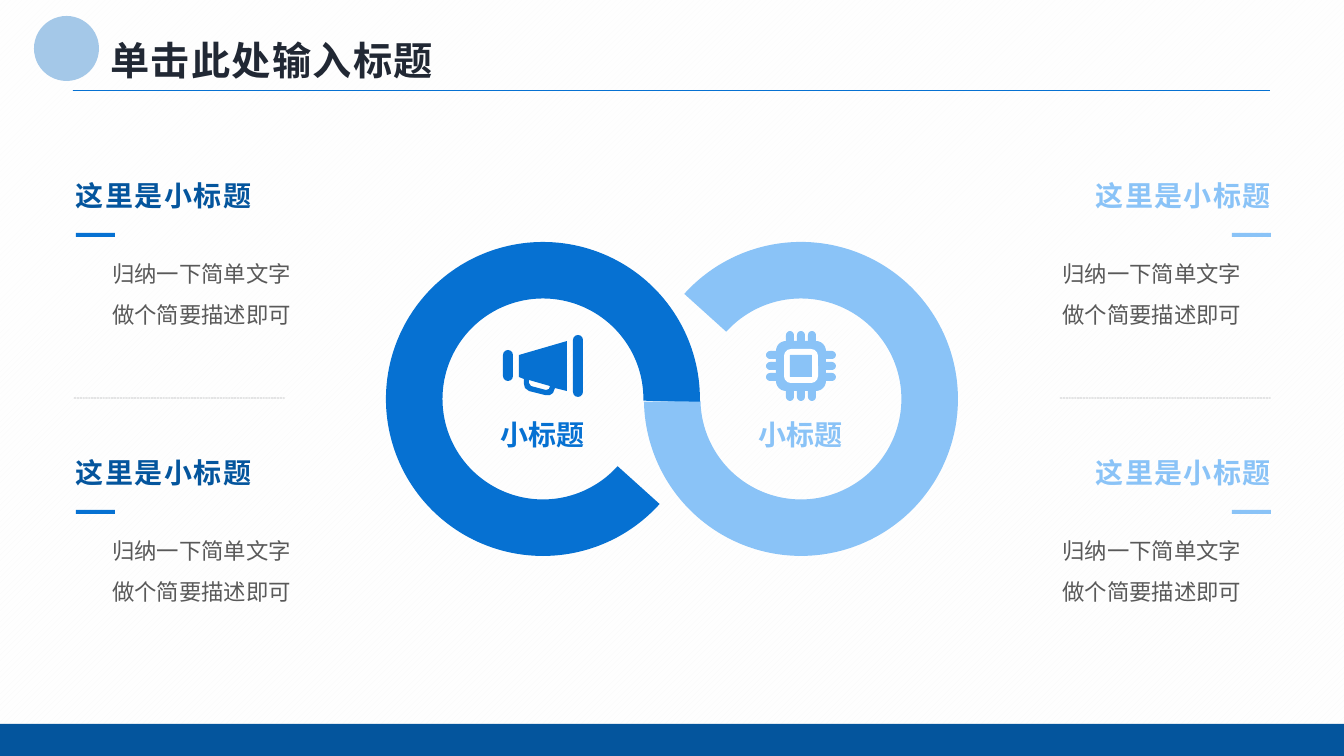
from lxml import etree
from pptx import Presentation
from pptx.dml.color import RGBColor
from pptx.enum.dml import MSO_LINE, MSO_PATTERN
from pptx.enum.shapes import MSO_CONNECTOR, MSO_SHAPE
from pptx.enum.text import MSO_ANCHOR, MSO_AUTO_SIZE, PP_ALIGN
from pptx.oxml.ns import qn
from pptx.util import Pt

RECT, OVAL = MSO_SHAPE.RECTANGLE, MSO_SHAPE.OVAL
SOFT, RING = MSO_SHAPE.ROUNDED_RECTANGLE, MSO_SHAPE.BLOCK_ARC
STRAIGHT = MSO_CONNECTOR.STRAIGHT
DASH = MSO_LINE.SQUARE_DOT
STRIPES = MSO_PATTERN.WIDE_UPWARD_DIAGONAL
LEFT, MID, RIGHT = PP_ALIGN.LEFT, PP_ALIGN.CENTER, PP_ALIGN.RIGHT
TOP, BOTTOM = MSO_ANCHOR.TOP, MSO_ANCHOR.BOTTOM
GROW = MSO_AUTO_SIZE.SHAPE_TO_FIT_TEXT
SCALE = 914400 / 100.8
WIDE, HIGH = 1344, 756
NOTO, ARIAL = "Noto Sans CJK SC", "Arial"
NAVY, BLUE, SKY, WHITE = "04559D", "0671D2", "8AC3F7", "FFFFFF"
HEAD, BODY = "这里是小标题", "归纳一下简单文字\n做个简要描述即可"


def px(num):
    """Turn pixels into EMU."""
    return round(num * SCALE)


def tint(code):
    """Turn a hex string into a colour."""
    return RGBColor.from_string(code)


def fade(item, *parts):
    """Give the colours of an item their opacity in percent."""
    for node, part in zip(item._element.iter(qn("a:srgbClr")), parts):
        etree.SubElement(node, qn("a:alpha")).set("val", str(part * 1000))


def paint(shape, color):
    """Fill a shape flat, without line or shadow."""
    shape.shadow.inherit = False
    shape.fill.solid()
    shape.fill.fore_color.rgb = tint(color)
    shape.line.fill.background()


def block(slide, kind, x, y, w, h, color, adjust=()):
    """Add a preset shape in one colour."""
    shape = slide.shapes.add_shape(kind, px(x), px(y), px(w), px(h))
    for num, value in enumerate(adjust):
        shape.adjustments[num] = value
    paint(shape, color)
    return shape


def write(slide, text, x, y, w, h, *, size, color, font=ARIAL, bold=False, align=LEFT,
          anchor=TOP, inset=(10, 5, 10, 5), wrap=True, lead=None, track=0):
    """Add a text box with one paragraph for each line of text."""
    box = slide.shapes.add_textbox(px(x), px(y), px(w), px(h))
    frame = box.text_frame
    frame.word_wrap = wrap
    if not wrap:
        frame.auto_size = GROW
    frame.vertical_anchor = anchor
    (frame.margin_left, frame.margin_top,
     frame.margin_right, frame.margin_bottom) = map(px, inset)
    for num, line in enumerate(text.split("\n")):
        para = frame.add_paragraph() if num else frame.paragraphs[0]
        para.alignment = align
        if lead:
            para.line_spacing = lead
        run = para.add_run()
        run.text = line
        run.font.size, run.font.bold, run.font.name = Pt(size), bold, font
        run.font.color.rgb = tint(color)
        props = run.font._element
        etree.SubElement(props, qn("a:ea")).set("typeface", NOTO)
        if track:
            props.set("spc", str(track * 100))


def outline(slide, color, *paths):
    """Add one filled freeform from closed paths."""
    build = None
    for path in paths:
        first, *rest = [(px(x), px(y)) for x, y in path]
        if build:
            build.move_to(*first)
        else:
            build = slide.shapes.build_freeform(*first, scale=1.0)
        build.add_line_segments(rest, close=True)
    paint(build.convert_to_shape(), color)


def ring(slide, x, start, end, color):
    """Add an open ring, angles in degrees, with its label."""
    block(slide, RING, x - 157, 242, 314, 314, color, (start * 0.6, end * 0.6, 0.18))
    write(slide, "小标题", x - 53, 412, 105, 44, size=20, color=color, font=NOTO,
          bold=True, align=MID, wrap=False)


def horn(slide):
    """Add the megaphone icon."""
    bell = [(567, 341), (567, 391), (555, 388), (553, 393), (550, 395), (545, 395),
            (529, 391), (525, 388), (524, 384), (524, 379), (519, 377), (519, 355)]
    grip = [(529, 380), (529, 383), (531, 386), (546, 390), (549, 389), (550, 386)]
    outline(slide, BLUE, bell, grip)
    for x, y, h in ((503, 350, 31), (573, 335, 62)):
        block(slide, SOFT, x, y, 10, h, BLUE, (0.5,))


def chip(slide, x=801, y=366):
    """Add the chip icon: pins, case, gap and core."""
    for step in (-11, 0, 11):
        block(slide, SOFT, x + step - 4, y - 35, 8, 70, SKY, (0.5,))
        block(slide, SOFT, x - 35, y + step - 4, 70, 8, SKY, (0.5,))
    for half, color, bend in ((25, SKY, 0.2), (17, WHITE, 0.2), (11, SKY, 0.02)):
        block(slide, SOFT, x - half, y - half, 2 * half, 2 * half, color, (bend,))


def note(slide, y, right):
    """Add a heading, its short bar and its text on one side."""
    if right:
        bar, head, body, inset = 1232, (1093, 178), (1033, 238), (0, 5, 0, 5)
        color, accent, align = SKY, SKY, RIGHT
    else:
        bar, head, body, inset = 76, (76, 189), (76, 261), (0, 5, 10, 5)
        color, accent, align = NAVY, BLUE, LEFT
    block(slide, RECT, bar, y + 60, 39, 4, accent)
    write(slide, HEAD, head[0], y, head[1], 44, size=20, color=color, bold=True,
          align=align, inset=inset, wrap=False, track=1)
    write(slide, BODY, body[0], y + 69, body[1], 147, size=16, color="595959",
          align=MID, inset=inset, lead=1.5)


def rule(slide, x, y, w):
    """Add a thin dashed line."""
    line = slide.shapes.add_connector(STRAIGHT, px(x), px(y), px(x + w), px(y))
    line.line.color.rgb = tint("6E7073")
    line.line.width = Pt(0.5)
    line.line.dash_style = DASH
    fade(line, 50)
    etree.SubElement(line._element.spPr, qn("a:effectLst"))


def ground(slide):
    """Set the striped background under a white veil."""
    fill = slide.background.fill
    fill.patterned()
    fill.pattern = STRIPES
    fill.fore_color.rgb, fill.back_color.rgb = tint("F2F2F2"), tint(WHITE)
    veil = block(slide, RECT, 0, 0, WIDE, HIGH, WHITE)
    veil.fill.gradient()
    veil.fill.gradient_angle = 270
    for stop in veil.fill.gradient_stops:
        stop.color.rgb = tint(WHITE)
    fade(veil, 80, 50)


def main():
    """Build and save the slide."""
    deck = Presentation()
    deck.slide_width, deck.slide_height = px(WIDE), px(HIGH)
    slide = deck.slides.add_slide(deck.slide_layouts[6])
    ground(slide)
    ring(slide, 801, 222, 179, SKY)
    ring(slide, 543, 42, 1, BLUE)
    horn(slide)
    chip(slide)
    for right in (False, True):
        for y in (173, 450):
            note(slide, y, right)
    for x in (74, 1060):
        rule(slide, x, 398, 211)
    block(slide, OVAL, 34, 16, 65, 65, "A4C8E8")
    write(slide, "单击此处输入标题", 100, 27, 802, 57, size=28, color="212834", font=NOTO,
          bold=True, anchor=BOTTOM, inset=(10, 5, 10, 0), lead=0.9, track=1)
    block(slide, RECT, 73, 90, 1197, 1, BLUE)
    block(slide, RECT, 0, 724, WIDE, 32, NAVY)
    deck.save("out.pptx")


if __name__ == "__main__":
    main()
